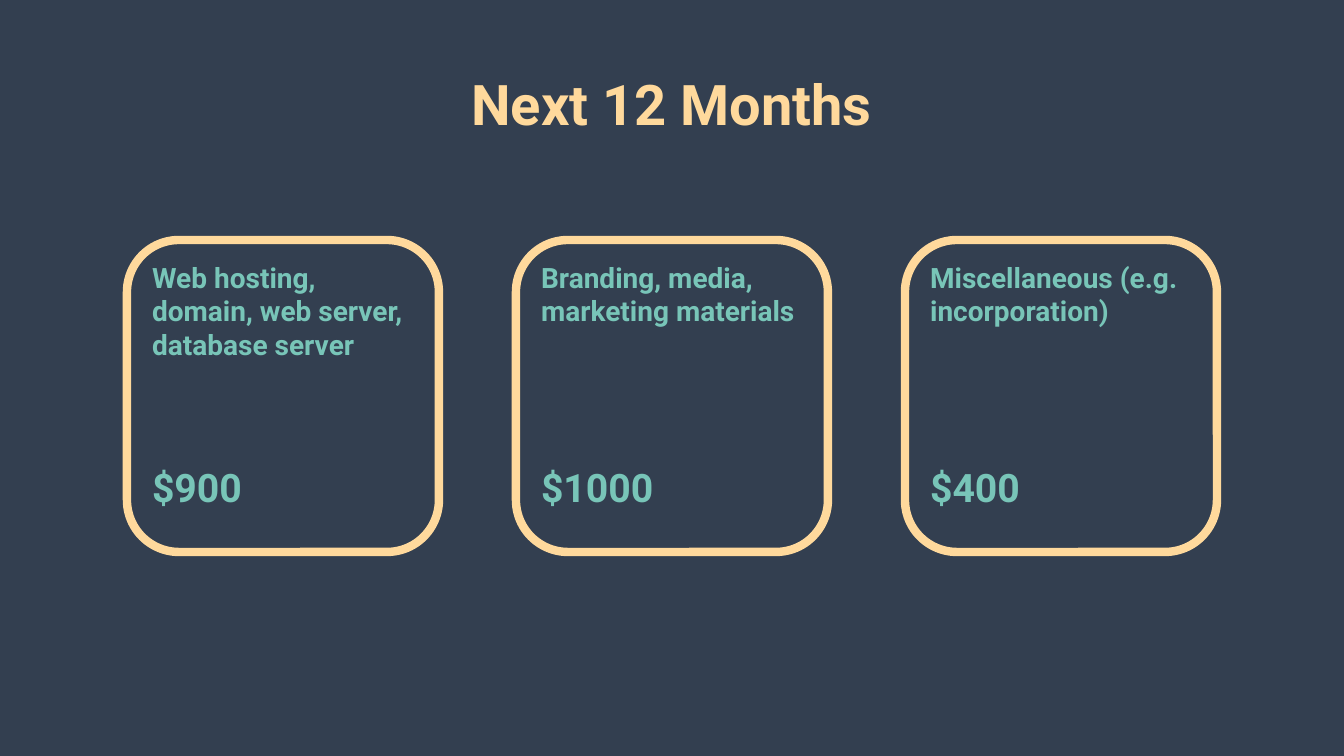
from dataclasses import dataclass

from pptx import Presentation
from pptx.dml.color import RGBColor
from pptx.enum.shapes import MSO_SHAPE
from pptx.enum.text import MSO_ANCHOR, PP_ALIGN
from pptx.util import Emu, Pt


@dataclass(frozen=True)
class Theme:
    """Colours, font and type sizes of the slide."""
    back: str = "333F50"
    gold: str = "FFD99C"
    mint: str = "78C5B8"
    font: str = "Roboto"
    head: int = 40
    label: int = 20
    price: int = 28
    line: int = 6


THEME = Theme()
CARDS = [
    ("Web hosting, domain, web server, database server", "$900", 73),
    ("Branding, media, marketing materials", "$1000", 97),
    ("Miscellaneous (e.g. incorporation)", "$400", 97),
]


def px(count):
    """Turn whole pixels into EMU."""
    return Emu(round(count * 914400 / 100.8))


def add_run(para, text, size, color):
    """Add one bold run to a paragraph."""
    run = para.add_run()
    run.text = text
    font = run.font
    font.name, font.size, font.bold = THEME.font, Pt(size), True
    font.color.rgb = RGBColor.from_string(color)


def add_title(slide, box, text):
    """Place the centred heading in its box."""
    frame = slide.shapes.add_textbox(*map(px, box)).text_frame
    frame.word_wrap = True
    para = frame.paragraphs[0]
    para.alignment = PP_ALIGN.CENTER
    add_run(para, text, THEME.head, THEME.gold)


def add_card(slide, box, label, price, gap):
    """Place one outlined card with its label and price."""
    card = slide.shapes.add_shape(MSO_SHAPE.ROUNDED_RECTANGLE, *map(px, box))
    card.shadow.inherit = False
    card.fill.background()
    card.line.color.rgb = RGBColor.from_string(THEME.gold)
    card.line.width = Pt(THEME.line)
    frame = card.text_frame
    frame.word_wrap = True
    frame.vertical_anchor = MSO_ANCHOR.TOP
    top = frame.paragraphs[0]
    add_run(top, label, THEME.label, THEME.mint)
    low = frame.add_paragraph()
    low.space_before = Pt(gap)
    add_run(low, price, THEME.price, THEME.mint)
    for para in (top, low):
        para.alignment = PP_ALIGN.LEFT


def add_cards(slide, box, cards, side):
    """Spread square cards evenly across the box."""
    left, top, width, _ = box
    step = (width - side) // (len(cards) - 1)
    for i, card in enumerate(cards):
        add_card(slide, (left + i * step, top, side, side), *card)


def main():
    """Build the budget slide and save it."""
    deck = Presentation()
    deck.slide_width, deck.slide_height = px(1344), px(756)
    slide = deck.slides.add_slide(deck.slide_layouts[6])
    fill = slide.background.fill
    fill.solid()
    fill.fore_color.rgb = RGBColor.from_string(THEME.back)
    add_title(slide, (182, 65, 979, 78), "Next 12 Months")
    add_cards(slide, (127, 240, 1090, 312), CARDS, 312)
    deck.save("out.pptx")


if __name__ == "__main__":
    main()
